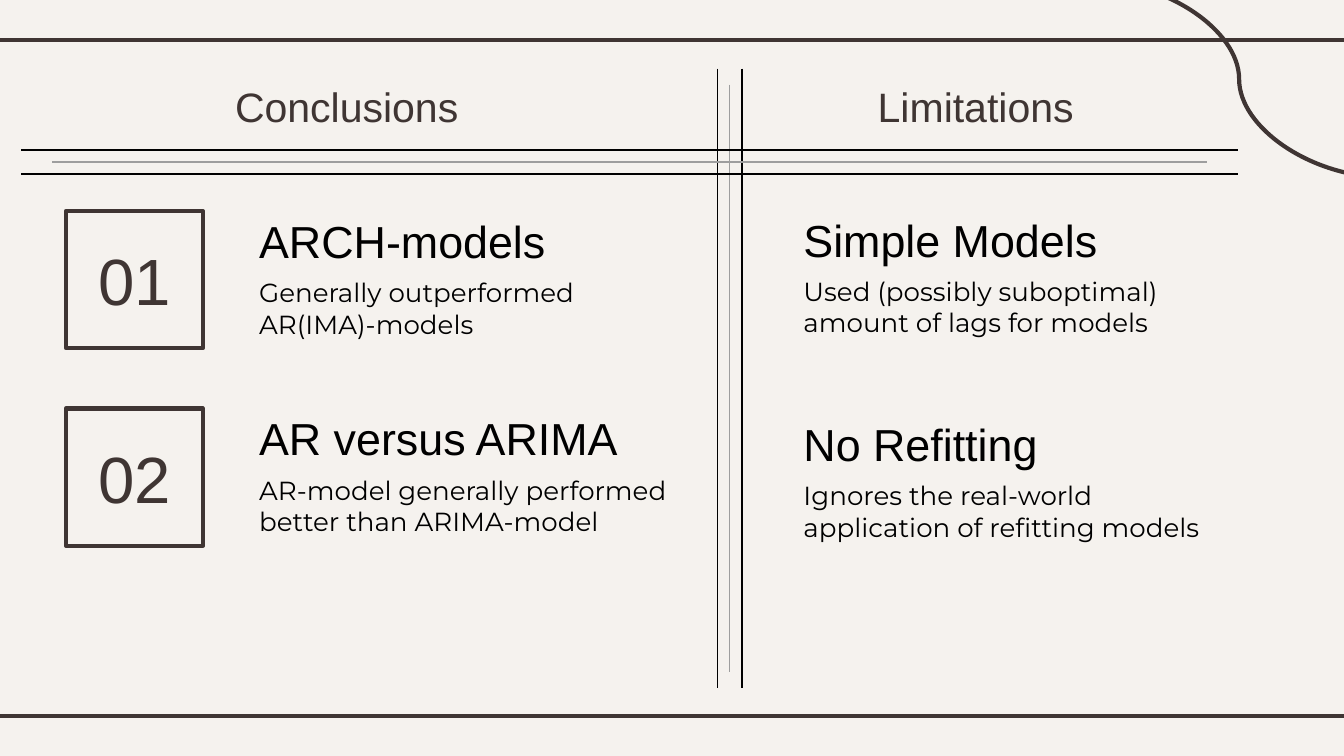
from dataclasses import dataclass
from typing import Any

from lxml.etree import SubElement
from pptx import Presentation
from pptx.dml.color import RGBColor
from pptx.enum.shapes import MSO_CONNECTOR as Connector, MSO_SHAPE as Shape
from pptx.enum.text import MSO_ANCHOR as Anchor, PP_ALIGN as Align
from pptx.oxml.ns import qn
from pptx.util import Inches, Pt

CREAM = RGBColor(0xF5, 0xF2, 0xEE)
BROWN = RGBColor(0x3F, 0x35, 0x33)
BLACK = RGBColor(0x00, 0x00, 0x00)
GREY = RGBColor(0x9E, 0x9E, 0x9E)
WIDTH = Inches(10)
HEIGHT = WIDTH * 9 // 16
COLUMNS = 100


@dataclass
class Board:
    """Draws styled elements on a page with a square grid of 100 columns."""

    page: Any
    heading_font: str = "Arial"
    body_font: str = "Montserrat"
    thick: float = 2.25
    thin: float = 0.75

    def grid(self, *cells):
        return [round(cell * WIDTH / COLUMNS) for cell in cells]

    def add_words(self, shape, words, size, color, font, align, anchor=Anchor.TOP):
        frame = shape.text_frame
        frame.word_wrap = True
        frame.vertical_anchor = anchor
        frame.margin_left = frame.margin_right = Inches(0.1)
        frame.margin_top = frame.margin_bottom = Inches(0.1)
        para = frame.paragraphs[0]
        para.alignment = align
        span = para.add_run()
        span.text = words
        span.font.size = Pt(size)
        span.font.name = font
        span.font.color.rgb = color

    def text(self, place, words, size, color=BLACK, font=None, align=Align.LEFT):
        box = self.page.shapes.add_textbox(*self.grid(*place))
        self.add_words(box, words, size, color, font or self.heading_font, align)

    def line(self, ends, color, weight, kind=Connector.STRAIGHT):
        line = self.page.shapes.add_connector(kind, *self.grid(*ends))
        line.line.color.rgb = color
        line.line.width = Pt(weight)
        SubElement(line._element.spPr, qn("a:effectLst"))

    def triple(self, start, end, center, inset, vertical=False):
        for offset, trim, color in ((-0.9, 0, BLACK), (0, inset, GREY), (0.9, 0, BLACK)):
            across = center + offset
            ends = (start + trim, across, end - trim, across)
            if vertical:
                ends = (across, start + trim, across, end - trim)
            self.line(ends, color, self.thin)

    def number(self, left, top, side, words):
        square = self.page.shapes.add_shape(Shape.RECTANGLE, *self.grid(left, top, side, side))
        square.shadow.inherit = False
        square.fill.solid()
        square.fill.fore_color.rgb = CREAM
        square.line.color.rgb = BROWN
        square.line.width = Pt(self.thick)
        self.add_words(square, words, 35, BROWN, self.heading_font, Align.CENTER, Anchor.MIDDLE)

    def title(self, left, words):
        self.text((left, 5.1, 27.6, 5.4), words, 22, BROWN, align=Align.CENTER)

    def point(self, left, top, heading, detail):
        self.text((left, top, 28.7, 5.4), heading, 24)
        self.text((left, top + 4.7, 33.9, 6.3), detail, 14, font=self.body_font)


def main():
    deck = Presentation()
    deck.slide_width, deck.slide_height = WIDTH, HEIGHT
    page = deck.slides.add_slide(deck.slide_layouts[6])
    page.background.fill.solid()
    page.background.fill.fore_color.rgb = CREAM
    board = Board(page)

    for row in (3, 53.3):
        board.line((-0.8, row, 100.8, row), BROWN, board.thick)
    board.line((81.3, -1.4, 103.1, 13.2), BROWN, board.thick, Connector.CURVE)

    board.triple(5.1, 51.2, 54.3, 1.2, vertical=True)
    board.triple(1.6, 92.1, 12.05, 2.3)
    board.title(12, "Conclusions")
    board.title(58.8, "Limitations")

    conclusions = (
        ("ARCH-models", "Generally outperformed AR(IMA)-models"),
        ("AR versus ARIMA", "AR-model generally performed better than ARIMA-model"),
    )
    for index, (heading, detail) in enumerate(conclusions):
        top = 14.9 + 14.7 * index
        board.number(4.9, top + 0.8, 10.2, f"{index + 1:02}")
        board.point(18.3, top, heading, detail)

    limitations = (
        ("Simple Models", "Used (possibly suboptimal) amount of lags for models"),
        ("No Refitting", "Ignores the real-world application of refitting models"),
    )
    for index, (heading, detail) in enumerate(limitations):
        board.point(58.8, 14.8 + 15.2 * index, heading, detail)

    deck.save("out.pptx")


if __name__ == "__main__":
    main()
